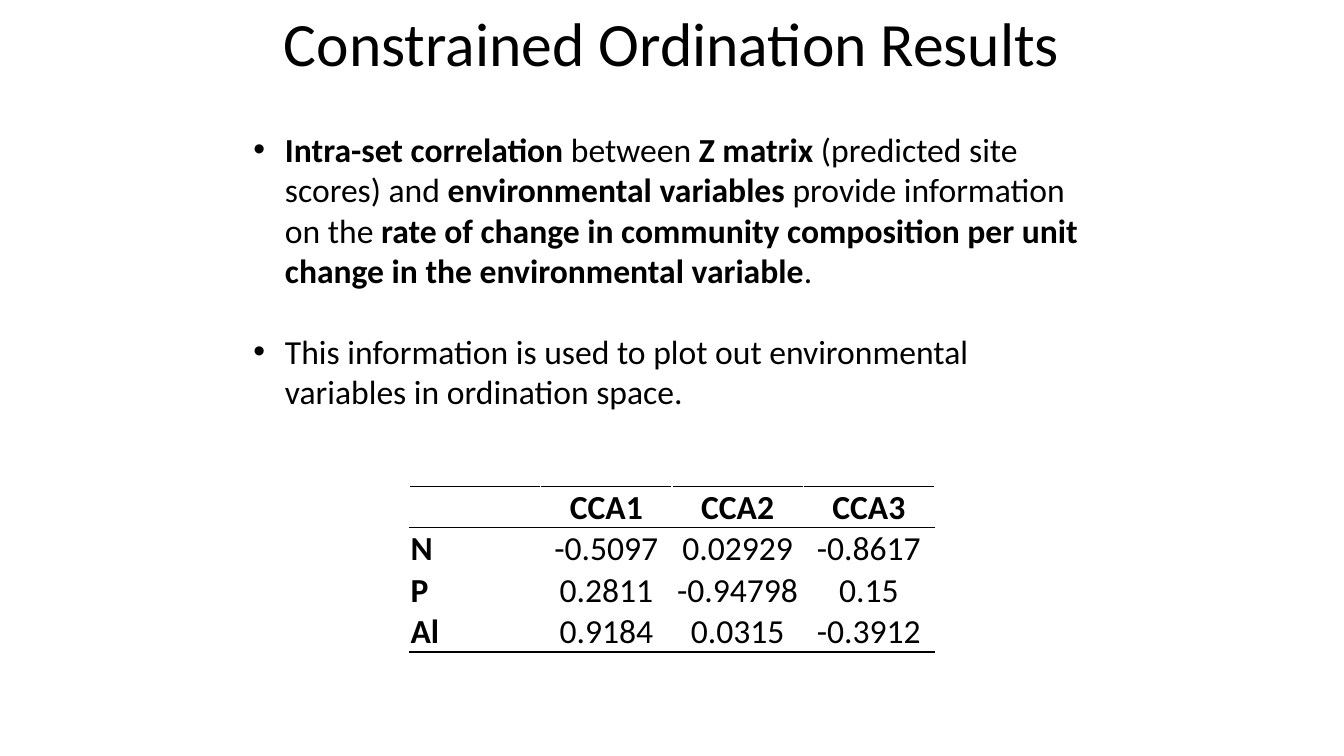
"""Build the constrained ordination results slide."""
import dataclasses

import lxml.etree
import pptx
import pptx.dml.color
import pptx.enum.text
import pptx.oxml
import pptx.oxml.ns
import pptx.util

Pt = pptx.util.Pt
Align = pptx.enum.text.PP_ALIGN
Anchor = pptx.enum.text.MSO_ANCHOR


@dataclasses.dataclass(frozen=True)
class Theme:
    font: str = "Calibri"
    ink: str = "000000"
    paper: str = "FFFFFF"
    title_size: float = 44
    body_size: float = 24
    rule_width: float = 1


def add_text(paragraph, text, *, theme, size, bold=False):
    run = paragraph.add_run()
    run.text = text
    run.font.name = theme.font
    run.font.size = Pt(size)
    run.font.bold = bold
    run.font.color.rgb = pptx.dml.color.RGBColor.from_string(theme.ink)


class ResultsSlide:
    def __init__(self, presentation, theme):
        self.theme = theme
        self.slide = presentation.slides.add_slide(presentation.slide_layouts[5])

    def title(self, text, left, top, width, height):
        heading = self.slide.shapes.title
        heading.left, heading.top = Pt(left), Pt(top)
        heading.width, heading.height = Pt(width), Pt(height)
        heading.text_frame.vertical_anchor = Anchor.MIDDLE
        paragraph = heading.text_frame.paragraphs[0]
        paragraph.alignment = Align.CENTER
        paragraph.line_spacing = 0.9
        add_text(paragraph, text, theme=self.theme, size=self.theme.title_size)

    def bullets(self, points, left, top, width, height, gap, indent=22.5):
        box = self.slide.shapes.add_textbox(Pt(left), Pt(top), Pt(width), Pt(height))
        frame = box.text_frame
        frame.word_wrap = True
        for number, point in enumerate(points):
            paragraph = frame.add_paragraph() if number else frame.paragraphs[0]
            paragraph.space_before = Pt(gap if number else 0)
            properties = paragraph._p.get_or_add_pPr()
            properties.set("marL", str(Pt(indent)))
            properties.set("indent", str(-Pt(indent)))
            for tag, attribute, value in (("a:buFont", "typeface", "Arial"), ("a:buChar", "char", "•")):
                mark = lxml.etree.SubElement(properties, pptx.oxml.ns.qn(tag))
                mark.set(attribute, value)
            for text, bold in point:
                add_text(paragraph, text, theme=self.theme, size=self.theme.body_size, bold=bold)

    def borders(self, cell, top, bottom):
        properties = cell._tc.get_or_add_tcPr()
        sides = {"L": self.theme.paper, "R": self.theme.paper, "T": top, "B": bottom}
        for position, (side, color) in enumerate(sides.items()):
            line = pptx.oxml.parse_xml(
                f'<a:ln{side} {pptx.oxml.ns.nsdecls("a")} w="{Pt(self.theme.rule_width)}">'
                f'<a:solidFill><a:srgbClr val="{color}"/></a:solidFill></a:ln{side}>'
            )
            properties.insert(position, line)

    def table(self, rows, left, top, width, height):
        theme = self.theme
        frame = self.slide.shapes.add_table(
            len(rows), len(rows[0]), Pt(left), Pt(top), Pt(width), Pt(height)
        )
        grid = frame.table
        grid.first_row = grid.horz_banding = False
        ruled_edges = (0, 1, len(rows))
        for row, values in enumerate(rows):
            for column, value in enumerate(values):
                cell = grid.cell(row, column)
                cell.fill.solid()
                cell.fill.fore_color.rgb = pptx.dml.color.RGBColor.from_string(theme.paper)
                cell.vertical_anchor = Anchor.BOTTOM
                cell.margin_left = cell.margin_right = cell.margin_top = Pt(0.75)
                cell.margin_bottom = 0
                top_color, bottom_color = (
                    theme.ink if edge in ruled_edges else theme.paper for edge in (row, row + 1)
                )
                self.borders(cell, top_color, bottom_color)
                paragraph = cell.text_frame.paragraphs[0]
                paragraph.alignment = Align.CENTER if column else Align.LEFT
                if value:
                    add_text(paragraph, value, theme=theme, size=theme.body_size,
                             bold=row == 0 or column == 0)


def main():
    presentation = pptx.Presentation()
    presentation.slide_width, presentation.slide_height = Pt(960), Pt(540)
    results = ResultsSlide(presentation, Theme())
    results.title("Constrained Ordination Results", 66, -18.75, 828, 104.5)
    findings = [
        [
            ("Intra-set correlation ", True),
            ("between ", False),
            ("Z matrix ", True),
            ("(predicted site scores) and ", False),
            ("environmental variables ", True),
            ("provide information on the ", False),
            ("rate of change in community composition per unit change "
             "in the environmental variable", True),
            (".", False),
        ],
        [("This information is used to plot out environmental variables "
          "in ordination space.", False)],
    ]
    results.bullets(findings, 174, 88.5, 612, 211, gap=29)
    correlations = [
        ["", "CCA1", "CCA2", "CCA3"],
        ["N", "-0.5097", "0.02929", "-0.8617"],
        ["P", "0.2811", "-0.94798", "0.15"],
        ["Al", "0.9184", "0.0315", "-0.3912"],
    ]
    results.table(correlations, 292.5, 347.5, 375, 118)
    presentation.save("out.pptx")


if __name__ == "__main__":
    main()
